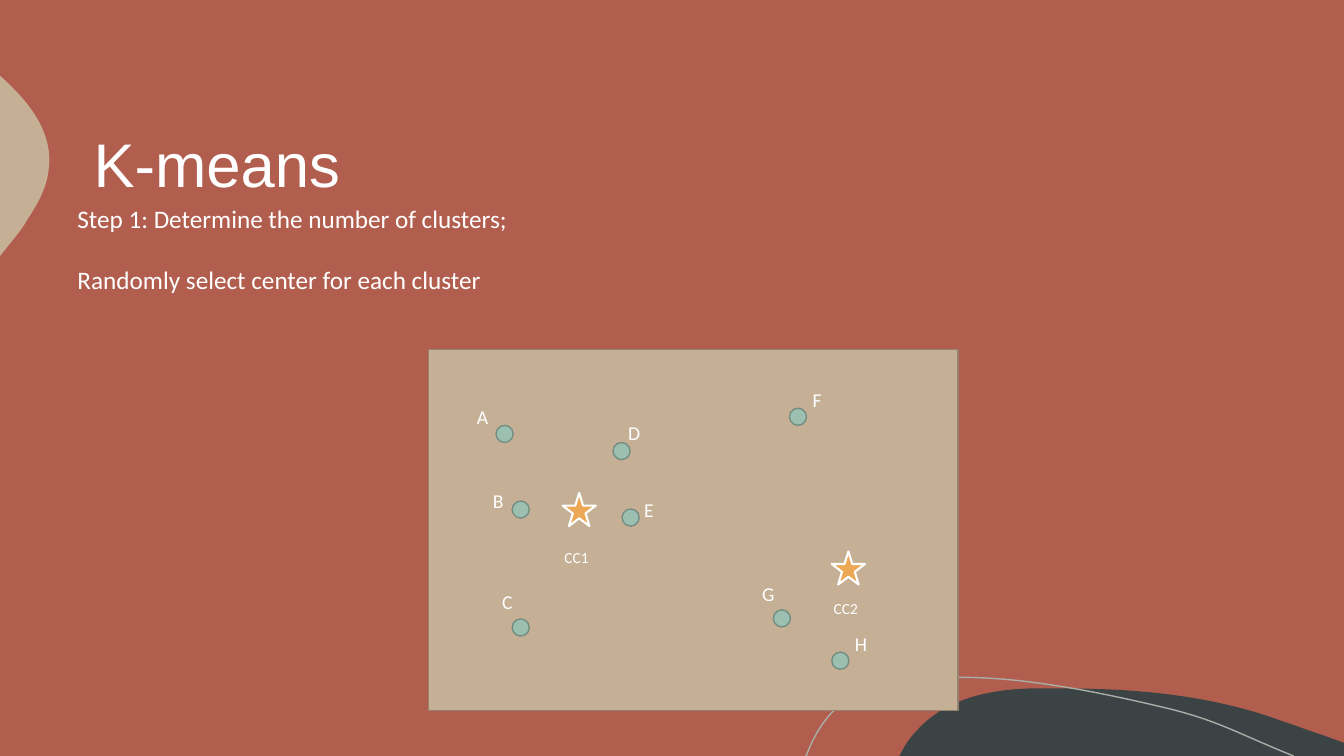
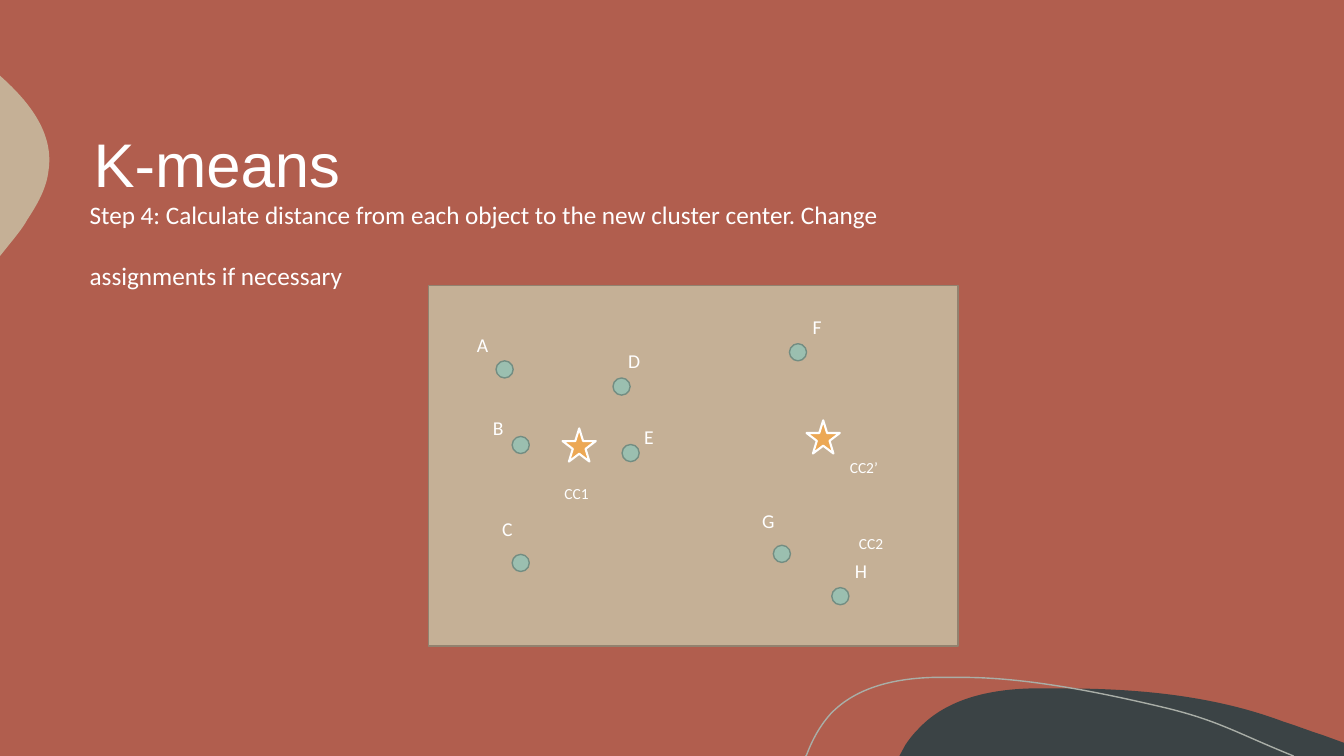
from dataclasses import dataclass

from lxml import etree
from pptx import Presentation
from pptx.dml.color import RGBColor
from pptx.enum import shapes, text
from pptx.oxml import ns
from pptx.util import Inches, Pt

COLORS = {
    "background": "B15E4E",
    "sand": "C5B096",
    "sand_edge": "92826F",
    "slate": "3B4345",
    "curve": "A9AEA7",
    "dot": "9BBFB0",
    "dot_edge": "738D82",
    "star": "ECA855",
    "white": "FFFFFF",
}
PANEL_LEFT, PANEL_WIDTH, PANEL_HEIGHT = 4.25, 5.25, 3.58
DOT_SIZE, STAR_SIZE = 0.17, 0.33
FIRST_OUTLINE_ID = 101


@dataclass(frozen=True)
class Outline:
    """A start point, then lines (2 numbers) and cubic curves (6 numbers)."""
    start: tuple[float, float]
    segments: tuple[tuple[float, ...], ...]
    fill: str | None = None
    line: str | None = None


@dataclass(frozen=True)
class DataPoint:
    """Dot and letter positions, measured from the panel corner."""
    name: str
    dot: tuple[float, float]
    letter: tuple[float, float]


@dataclass(frozen=True)
class Step:
    lines: tuple[str, ...]
    body: tuple[float, float, float, float]
    panel_top: float
    letter_shift: float
    stars: tuple[tuple[float, float], ...]
    center_labels: tuple[tuple[str, float, float], ...]


OUTLINES = (
    Outline((10.54, 6.83), (
        (11.28, 6.83, 12.04, 6.9, 12.73, 7.16),
        (12.86, 7.2, 12.98, 7.25, 13.11, 7.29),
        (13.33, 7.37), (13.33, 7.5), (8.92, 7.5), (8.98, 7.39),
        (9.02, 7.33, 9.06, 7.28, 9.11, 7.23),
        (9.39, 6.93, 9.82, 6.84, 10.23, 6.83),
        (10.33, 6.83, 10.43, 6.83, 10.54, 6.83),
    ), fill="slate"),
    Outline((0, 0.75), (
        (0.01, 0.76),
        (0.3, 1.02, 0.54, 1.33, 0.48, 1.7),
        (0.46, 1.87, 0.37, 2.03, 0.27, 2.18),
        (0.24, 2.24, 0.17, 2.33, 0.08, 2.44),
        (0, 2.54),
    ), fill="sand"),
    Outline((7.99, 7.5), (
        (8, 7.49),
        (8.06, 7.33, 8.14, 7.19, 8.24, 7.08),
        (8.5, 6.81, 8.89, 6.73, 9.26, 6.72),
        (9.55, 6.72),
        (10.22, 6.72, 11, 6.89, 11.55, 7.02),
        (12.09, 7.15, 12.26, 7.27, 12.83, 7.5),
    ), line="curve"),
)

DATA_POINTS = (
    DataPoint("A", (0.67, 0.75), (0.42, 0.5)),
    DataPoint("B", (0.83, 1.5), (0.58, 1.33)),
    DataPoint("C", (0.83, 2.67), (0.67, 2.33)),
    DataPoint("D", (1.83, 0.92), (1.92, 0.66)),
    DataPoint("E", (1.92, 1.58), (2.08, 1.42)),
    DataPoint("F", (3.58, 0.58), (3.75, 0.33)),
    DataPoint("G", (3.42, 2.58), (3.25, 2.25)),
    DataPoint("H", (4, 3), (4.17, 2.75)),
)

STEPS = (
    Step(
        ("Step 1: Determine the number of clusters;",
         "Randomly select center for each cluster"),
        (0.67, 1.97, 5.67, 1.01), 3.47, 0,
        ((1.33, 1.42), (4, 2)),
        (("CC1", 1.25, 1.92), ("CC2", 3.92, 2.42)),
    ),
    Step(
        ("Step 4: Calculate distance from each object to the new cluster "
         "center. Change",
         "assignments if necessary"),
        (0.79, 1.93, 9.42, 1.31), 2.83, -0.08,
        ((1.33, 1.42), (3.75, 1.34)),
        (("CC1", 1.25, 1.92), ("CC2", 4.17, 2.42), ("CC2’", 4.08, 1.67)),
    ),
)


def color(name: str) -> RGBColor:
    return RGBColor.from_string(COLORS[name])


def style(shape, fill: str | None, line: str | None, weight: float = 1) -> None:
    shape.shadow.inherit = False
    if fill:
        shape.fill.solid()
        shape.fill.fore_color.rgb = color(fill)
    else:
        shape.fill.background()
    if line:
        shape.line.color.rgb = color(line)
        shape.line.width = Pt(weight)
    else:
        shape.line.fill.background()


def add_preset(slide, kind, left: float, top: float, width: float,
               height: float, fill: str, line: str, weight: float = 1) -> None:
    shape = slide.shapes.add_shape(
        kind, Inches(left), Inches(top), Inches(width), Inches(height))
    style(shape, fill, line, weight)


def add_text(slide, lines: tuple[str, ...], left: float, top: float,
             width: float, height: float, size: float,
             font: str = "Calibri", gap: float = 0):
    box = slide.shapes.add_textbox(
        Inches(left), Inches(top), Inches(width), Inches(height))
    frame = box.text_frame
    frame.word_wrap = True
    for index, line in enumerate(lines):
        paragraph = frame.add_paragraph() if index else frame.paragraphs[0]
        paragraph.text = line
        if index:
            paragraph.space_before = Pt(gap)
        paragraph.font.name = font
        paragraph.font.size = Pt(size)
        paragraph.font.color.rgb = color("white")
    return frame


def add_outline(slide, outline: Outline):
    """Join the segment ends by lines, then bend the curved segments."""
    builder = slide.shapes.build_freeform(*map(Inches, outline.start))
    builder.add_line_segments(
        [(Inches(x), Inches(y)) for *_, x, y in outline.segments],
        close=outline.fill is not None)
    shape = builder.convert_to_shape()
    straight = list(shape.element.iter(ns.qn("a:lnTo")))
    for segment, line in zip(outline.segments, straight):
        if len(segment) == 2:
            continue
        line.tag = ns.qn("a:cubicBezTo")
        for index, (x, y) in enumerate(((segment[0], segment[1]),
                                        (segment[2], segment[3]))):
            control = etree.Element(
                ns.qn("a:pt"), x=str(Inches(x) - shape.left),
                y=str(Inches(y) - shape.top))
            line.insert(index, control)
    style(shape, outline.fill, outline.line)
    return shape


def decorate_master(master, slide) -> None:
    """Give the master its background and outlines, drawn by way of a slide."""
    master.background.fill.solid()
    master.background.fill.fore_color.rgb = color("background")
    for number, outline in enumerate(OUTLINES, FIRST_OUTLINE_ID):
        element = add_outline(slide, outline).element
        element.nvSpPr.cNvPr.set("id", str(number))
        master.shapes.element.append(element)


def add_title(slide) -> None:
    title = add_text(slide, ("K-means",), 0.83, 0.83, 11.67, 1.67, 44, "Arial")
    title.vertical_anchor = text.MSO_ANCHOR.MIDDLE
    title.paragraphs[0].line_spacing = 0.9


def add_step(slide, step: Step) -> None:
    # Panel and dots
    add_preset(slide, shapes.MSO_SHAPE.RECTANGLE, PANEL_LEFT, step.panel_top,
               PANEL_WIDTH, PANEL_HEIGHT, "sand", "sand_edge")
    for point in DATA_POINTS:
        x, y = point.dot
        add_preset(slide, shapes.MSO_SHAPE.OVAL, PANEL_LEFT + x,
                   step.panel_top + y, DOT_SIZE, DOT_SIZE, "dot", "dot_edge")

    # Explanation
    add_text(slide, step.lines, *step.body, size=18, gap=22)

    # Cluster centers
    for x, y in step.stars:
        add_preset(slide, shapes.MSO_SHAPE.STAR_5_POINT, PANEL_LEFT + x,
                   step.panel_top + y, STAR_SIZE, STAR_SIZE,
                   "star", "white", 1.5)
    for label, x, y in step.center_labels:
        add_text(slide, (label,), PANEL_LEFT + x, step.panel_top + y,
                 0.58, 0.29, 11)

    # Letters beside the dots
    for point in DATA_POINTS:
        x, y = point.letter
        letter = add_text(slide, (point.name,), PANEL_LEFT + x,
                          step.panel_top + y + step.letter_shift,
                          0.17, 0.34, 14)
        letter.margin_left, letter.margin_right = Inches(0.06), 0


def main() -> None:
    presentation = Presentation()
    presentation.slide_width = Inches(13.33)
    presentation.slide_height = Inches(7.5)
    blank = presentation.slide_layouts[6]
    slides = [presentation.slides.add_slide(blank) for _ in STEPS]
    decorate_master(presentation.slide_master, slides[0])
    for slide, step in zip(slides, STEPS):
        add_title(slide)
        add_step(slide, step)
    presentation.save("out.pptx")


if __name__ == "__main__":
    main()
